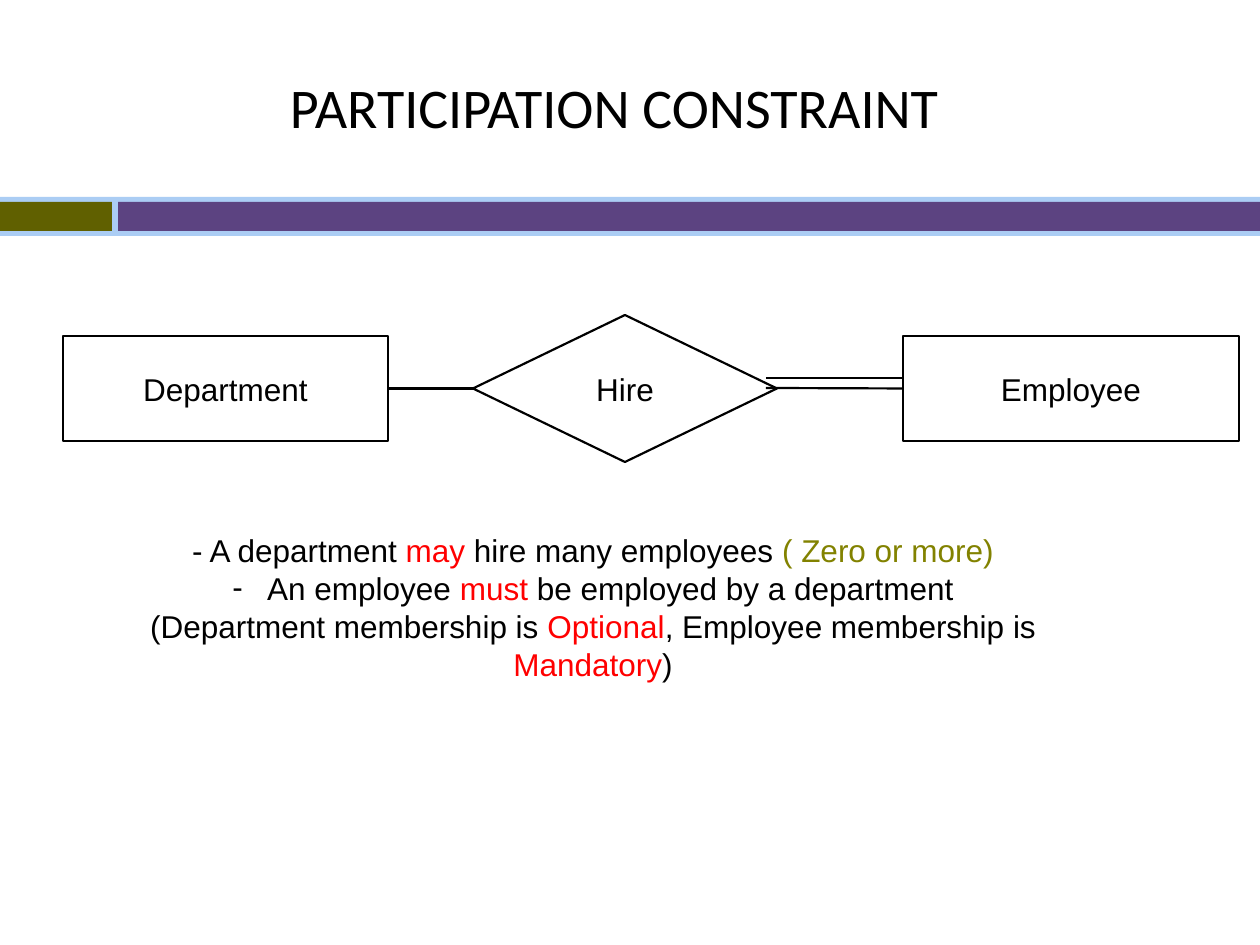
"""Build the participation constraint slide with its entity-relationship diagram."""
from lxml import etree
from pptx import Presentation, util as u
from pptx.dml.color import RGBColor
from pptx.enum import shapes, text
from pptx.oxml.ns import qn

PX = 914400 / 126
BLACK, RED, OLIVE = "000000", "FF0000", "828200"


def color(value):
    return RGBColor.from_string(value)


def write(paragraph, runs, font, size):
    for words, tint in runs:
        run = paragraph.add_run()
        run.text = words
        for key, value in {"name": font, "size": u.Pt(size)}.items():
            setattr(run.font, key, value)
        run.font.color.rgb = color(tint)


deck = Presentation()
deck.slide_width, deck.slide_height = u.Inches(10), u.Inches(7.5)
slide = deck.slides.add_slide(deck.slide_layouts[6])

bands = [(0, 197, 1260, 39, "ABCDF4"), (0, 202, 112, 29, "606000"), (118, 202, 1142, 29, "5C4381")]
for *box, tint in bands:
    band = slide.shapes.add_shape(shapes.MSO_SHAPE.RECTANGLE, *[round(v * PX) for v in box])
    band.shadow.inherit = False
    band.fill.solid()
    band.fill.fore_color.rgb = color(tint)
    band.line.fill.background()

title = slide.shapes.add_textbox(*[round(v * PX) for v in (290, 68, 1044, 130)]).text_frame
title_format = {"word_wrap": True, "margin_left": 0, "margin_right": 0,
                "margin_top": round(4 * PX), "margin_bottom": 0}
for key, value in title_format.items():
    setattr(title, key, value)
write(title.paragraphs[0], [("PARTICIPATION CONSTRAINT", BLACK)], "Calibri", 32)

rules = slide.shapes.add_textbox(*[round(v * PX) for v in (84, 525, 1018, 165)]).text_frame
for key, value in {"word_wrap": True, "auto_size": text.MSO_AUTO_SIZE.SHAPE_TO_FIT_TEXT}.items():
    setattr(rules, key, value)
statements = [
    [("- A department ", BLACK), ("may", RED), (" hire many employees ", BLACK),
     ("( Zero or more)", OLIVE)],
    [(" An employee ", BLACK), ("must", RED), (" be employed by a department", BLACK)],
    [("(Department membership is ", BLACK), ("Optional", RED),
     (", Employee membership is ", BLACK), ("Mandatory", RED), (")", BLACK)],
]
for index, runs in enumerate(statements):
    statement = rules.paragraphs[0] if index == 0 else rules.add_paragraph()
    statement.alignment = text.PP_ALIGN.CENTER
    write(statement, runs, "Arial", 18)
bulleted = rules.paragraphs[1]._p.get_or_add_pPr()
indent = round(28 * PX)
bulleted.set("marL", str(indent))
bulleted.set("indent", str(-indent))
etree.SubElement(bulleted, qn("a:buFont")).set("typeface", "Arial")
etree.SubElement(bulleted, qn("a:buChar")).set("char", "-")

diagram = {}
parts = [
    ("Department", shapes.MSO_SHAPE.RECTANGLE, (63, 336, 325, 105)),
    ("Hire", shapes.MSO_SHAPE.FLOWCHART_DECISION, (473, 315, 304, 147)),
    ("Employee", shapes.MSO_SHAPE.RECTANGLE, (903, 336, 336, 105)),
]
for label, outline, box in parts:
    part = slide.shapes.add_shape(outline, *[round(v * PX) for v in box])
    part.shadow.inherit = False
    part.fill.background()
    part.line.color.rgb = color(BLACK)
    part.line.width = u.Pt(1.25)
    for key, value in {"word_wrap": False, "vertical_anchor": text.MSO_ANCHOR.MIDDLE}.items():
        setattr(part.text_frame, key, value)
    part.text_frame.paragraphs[0].alignment = text.PP_ALIGN.CENTER
    write(part.text_frame.paragraphs[0], [(label, BLACK)], "Arial", 18)
    diagram[label] = part

links = [
    ((388, 336, 388, 441), None, None),
    ((388, 388, 473, 389), "Department", "Hire"),
    ((766, 378, 903, 378), None, None),
    ((766, 388, 903, 389), None, "Employee"),
]
for ends, source, target in links:
    link = slide.shapes.add_connector(shapes.MSO_CONNECTOR.STRAIGHT, *[round(v * PX) for v in ends])
    link.line.color.rgb = color(BLACK)
    link.line.width = u.Pt(1.25)
    etree.SubElement(link._element.spPr, qn("a:effectLst"))
    if source:
        link.begin_connect(diagram[source], 3)
    if target:
        link.end_connect(diagram[target], 1)

deck.save("out.pptx")
